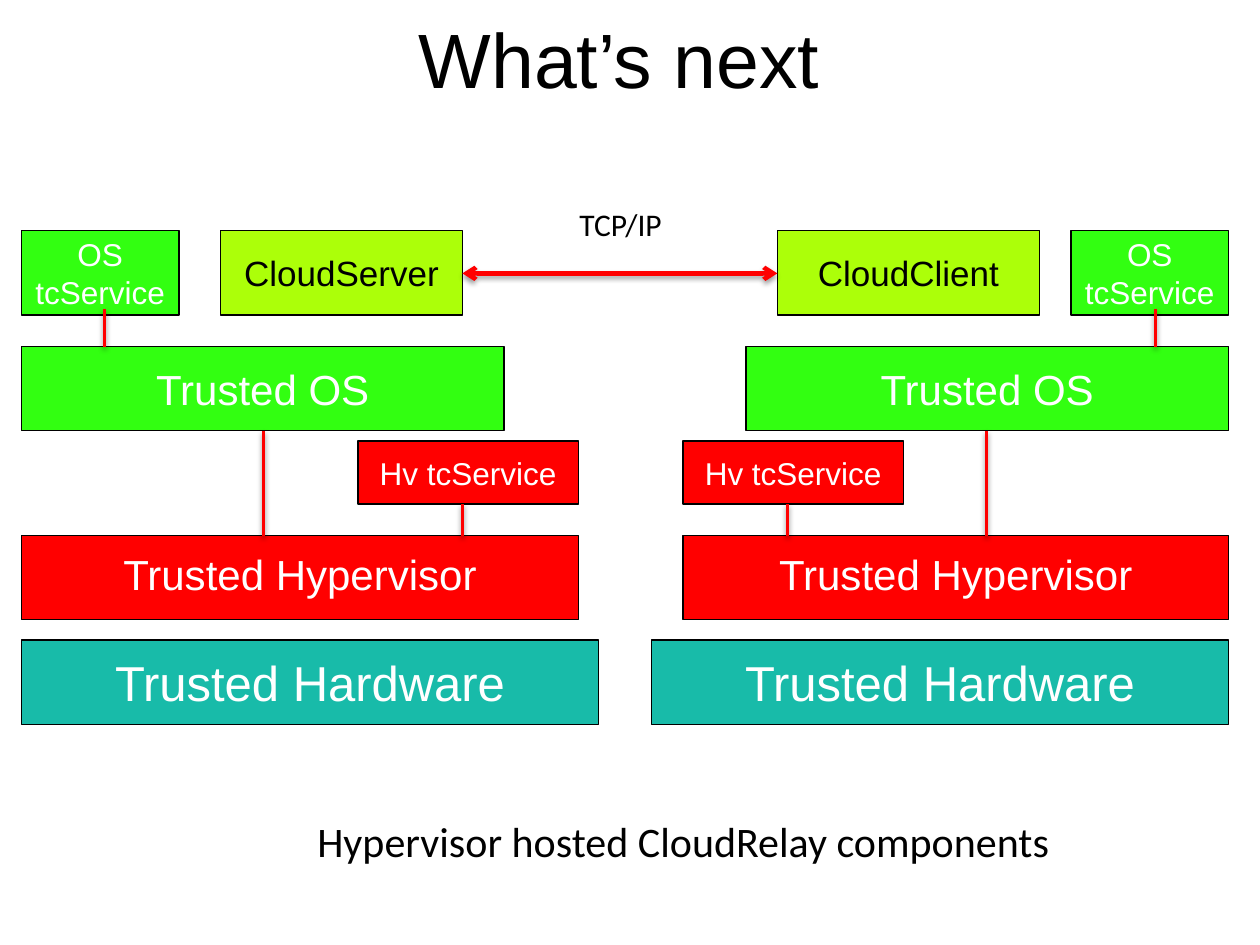
from dataclasses import dataclass
from lxml.etree import SubElement
from pptx import Presentation
from pptx.dml.color import RGBColor
from pptx.enum.shapes import MSO_CONNECTOR, MSO_SHAPE
from pptx.enum.text import MSO_ANCHOR, MSO_AUTO_SIZE, PP_ALIGN
from pptx.oxml import parse_xml
from pptx.oxml.ns import nsdecls, qn
from pptx.util import Inches, Pt


@dataclass(frozen=True)
class Theme:
    black: str = "000000"
    white: str = "FFFFFF"
    red: str = "FF0000"
    green: str = "32FF11"
    lime: str = "ACFF09"
    teal: str = "18BBA9"
    heading: str = "Arial"
    body: str = "Calibri"
    title: int = 44
    hardware: int = 28
    layer: int = 24
    app: int = 20
    service: int = 18


THEME = Theme()
SHADOW = (
    f'<a:effectLst {nsdecls("a")}><a:outerShdw blurRad="{Pt(3.1)}" dist="{Pt(1.6)}" '
    f'dir="5400000" rotWithShape="0"><a:srgbClr val="{THEME.black}">'
    '<a:alpha val="38000"/></a:srgbClr></a:outerShdw></a:effectLst>'
)


@dataclass(frozen=True)
class Host:
    left: float
    width: float
    mirrored: bool
    app: str
    app_offset: float
    app_width: float
    hypervisor_width: float
    service_link: float

    def place(self, offset, width=0):
        if self.mirrored:
            return self.left + self.width - offset - width
        return self.left + offset


def write(frame, text, size, font, color, align=PP_ALIGN.LEFT):
    frame.text = text
    para = frame.paragraphs[0]
    para.alignment = align
    para.font.size = Pt(size)
    para.font.name = font
    para.font.color.rgb = RGBColor.from_string(color)


def add_block(page, box, text, fill, size, color=THEME.white, anchor=MSO_ANCHOR.MIDDLE):
    block = page.shapes.add_shape(MSO_SHAPE.RECTANGLE, *map(Inches, box))
    block.shadow.inherit = False
    block.fill.solid()
    block.fill.fore_color.rgb = RGBColor.from_string(fill)
    block.line.color.rgb = RGBColor.from_string(THEME.black)
    block.line.width = Pt(0.75)
    frame = block.text_frame
    frame.word_wrap = True
    frame.vertical_anchor = anchor
    frame.margin_left = frame.margin_right = Inches(0.1)
    frame.margin_top = frame.margin_bottom = Inches(0.1)
    write(frame, text, size, THEME.heading, color, PP_ALIGN.CENTER)


def add_link(page, start, end, width=2, arrows=False):
    link = page.shapes.add_connector(MSO_CONNECTOR.STRAIGHT, *map(Inches, start + end))
    link.line.color.rgb = RGBColor.from_string(THEME.red)
    link.line.width = Pt(width)
    properties = link.element.spPr
    if arrows:
        outline = properties.find(qn("a:ln"))
        for tag in ("a:headEnd", "a:tailEnd"):
            SubElement(outline, qn(tag), type="arrow")
    properties.append(parse_xml(SHADOW))


def add_label(page, box, text, size):
    label = page.shapes.add_textbox(*map(Inches, box))
    frame = label.text_frame
    frame.word_wrap = False
    frame.auto_size = MSO_AUTO_SIZE.SHAPE_TO_FIT_TEXT
    write(frame, text, size, THEME.body, THEME.black)


def add_title(page, box, text):
    title = page.shapes.title
    title.left, title.top, title.width, title.height = map(Inches, box)
    title.text_frame.vertical_anchor = MSO_ANCHOR.MIDDLE
    write(title.text_frame, text, THEME.title, THEME.heading, THEME.black, PP_ALIGN.CENTER)


def add_host(page, host, top):
    middle, upper = MSO_ANCHOR.MIDDLE, MSO_ANCHOR.TOP
    service_width = 1.75
    blocks = [
        ("Trusted Hypervisor", 0, 2.42, host.hypervisor_width, 0.67,
         THEME.red, THEME.layer, THEME.white, upper),
        ("Trusted OS", 0, 0.92, 3.83, 0.67, THEME.green, THEME.layer, THEME.white, middle),
        (host.app, host.app_offset, 0, host.app_width, 0.67,
         THEME.lime, THEME.app, THEME.black, middle),
        ("Hv tcService", host.hypervisor_width - service_width, 1.67, service_width, 0.5,
         THEME.red, THEME.service, THEME.white, middle),
        ("OS tcService", 0, 0, 1.25, 0.67, THEME.green, THEME.service, THEME.white, middle),
        ("Trusted Hardware", 0, 3.25, host.width, 0.67,
         THEME.teal, THEME.hardware, THEME.white, upper),
    ]
    for text, offset, drop, width, height, fill, size, color, anchor in blocks:
        box = (host.place(offset, width), top + drop, width, height)
        add_block(page, box, text, fill, size, color, anchor)

    for offset, start, end in [
        (1.92, 1.59, 2.42), (3.5, 2.17, 2.42), (host.service_link, 0.62, 0.92)
    ]:
        x = host.place(offset)
        add_link(page, (x, top + start), (x, top + end))


def build_slide(deck):
    page = deck.slides.add_slide(deck.slide_layouts[5])
    add_title(page, (0.25, 0, 9.33, 0.92), "What’s next")
    server = Host(0.17, 4.58, False, "CloudServer", 1.58, 1.92, 4.42, 0.66)
    client = Host(5.17, 4.58, True, "CloudClient", 1.5, 2.08, 4.33, 0.58)
    for host in (server, client):
        add_host(page, host, 1.83)
    add_link(page, (3.67, 2.17), (6.17, 2.17), 2.5, True)
    add_label(page, (4.5, 1.58, 0.86, 0.4), "TCP/IP", THEME.service)
    add_label(page, (2.42, 6.42, 6.09, 0.5),
              "Hypervisor hosted CloudRelay components", THEME.layer)


deck = Presentation()
deck.slide_width, deck.slide_height = Inches(10), Inches(7.5)
build_slide(deck)
deck.save("out.pptx")
